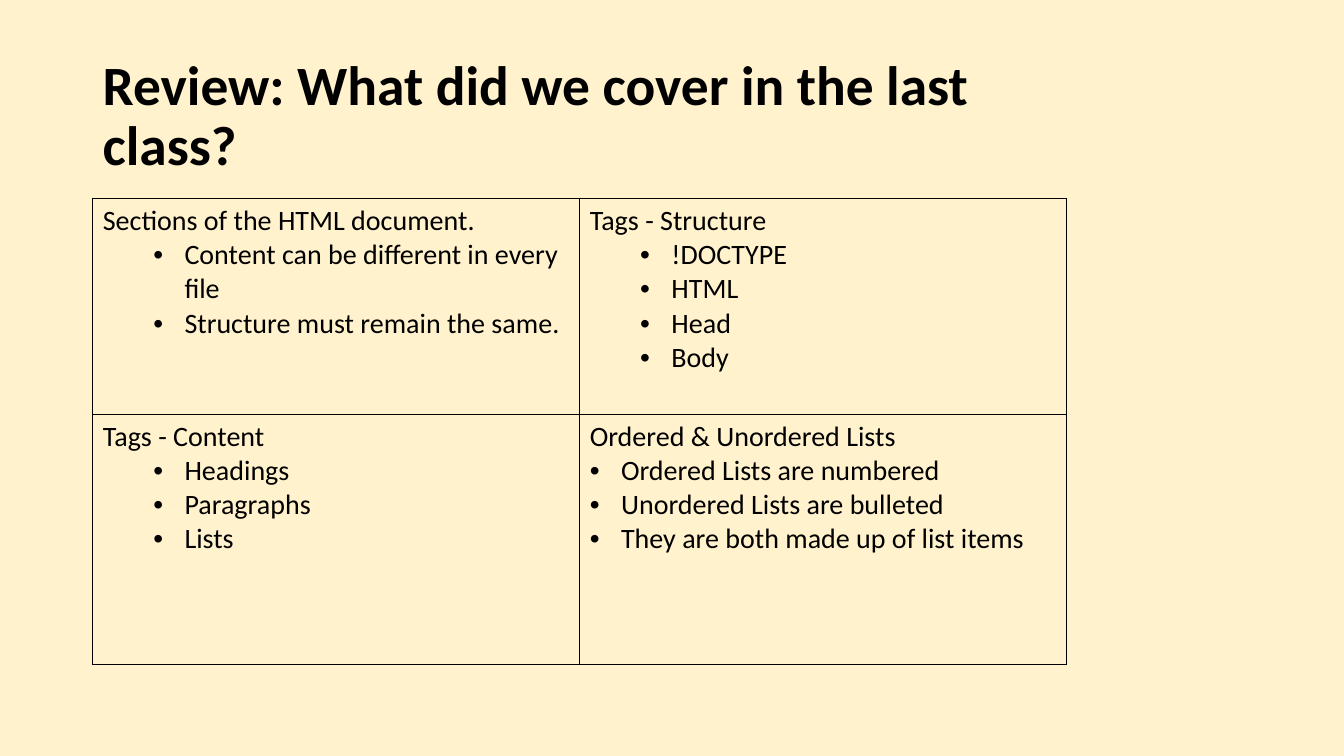
"""Build a review slide with a two-by-two table of topics covered in class."""
import dataclasses

import lxml.etree
import pptx
import pptx.dml.color
import pptx.enum.text
import pptx.oxml.ns
import pptx.presentation
import pptx.slide
import pptx.table
import pptx.text.text
import pptx.util

Inches = pptx.util.Inches
qn = pptx.oxml.ns.qn


@dataclasses.dataclass(frozen=True)
class Theme:
    font: str = "Calibri"
    background: str = "FFF2CC"
    ink: str = "000000"
    title_size: float = 39.6
    body_size: float = 20
    border_width: float = 1
    bullet_hang: float = 0.31
    level_step: float = 0.5


@dataclasses.dataclass(frozen=True)
class Topic:
    heading: str
    points: tuple[str, ...]
    level: int = 1


THEME = Theme()
TITLE = "Review: What did we cover in the last class?"
COLUMN_WIDTH = 4.83
ROW_HEIGHTS = (2.14, 2.48)
TOPIC_GRID = (
    (
        Topic(
            "Sections of the HTML document.",
            ("Content can be different in every file", "Structure must remain the same."),
        ),
        Topic("Tags - Structure", ("!DOCTYPE", "HTML", "Head", "Body")),
    ),
    (
        Topic("Tags - Content", ("Headings", "Paragraphs", "Lists")),
        Topic(
            "Ordered & Unordered Lists",
            (
                "Ordered Lists are numbered",
                "Unordered Lists are bulleted",
                "They are both made up of list items",
            ),
            level=0,
        ),
    ),
)


def write_text(
    para: pptx.text.text._Paragraph,
    text: str,
    *,
    size: float = THEME.body_size,
    bold: bool = False,
    bullet: bool = False,
    level: int = 0,
    line_spacing: float | None = None,
) -> None:
    if bullet:
        properties = para._p.get_or_add_pPr()
        margin = THEME.bullet_hang + level * THEME.level_step
        properties.set("marL", str(Inches(margin)))
        properties.set("indent", str(-Inches(THEME.bullet_hang)))
        lxml.etree.SubElement(properties, qn("a:buFont"), typeface="Arial")
        lxml.etree.SubElement(properties, qn("a:buChar"), char="•")
    para.level = level
    para.line_spacing = line_spacing
    span = para.add_run()
    span.text = text
    span.font.name = THEME.font
    span.font.size = pptx.util.Pt(size)
    span.font.bold = bold
    span.font.color.rgb = pptx.dml.color.RGBColor.from_string(THEME.ink)


def draw_borders(cell: pptx.table._Cell) -> None:
    properties = cell._tc.get_or_add_tcPr()
    for side in ("lnL", "lnR", "lnT", "lnB"):
        line = lxml.etree.SubElement(
            properties, qn(f"a:{side}"), w=str(pptx.util.Pt(THEME.border_width))
        )
        fill = lxml.etree.SubElement(line, qn("a:solidFill"))
        lxml.etree.SubElement(fill, qn("a:srgbClr"), val=THEME.ink)


def fill_cell(cell: pptx.table._Cell, topic: Topic) -> None:
    draw_borders(cell)
    cell.fill.background()
    write_text(cell.text_frame.paragraphs[0], topic.heading)
    for point in topic.points:
        write_text(cell.text_frame.add_paragraph(), point, bullet=True, level=topic.level)


def add_title(page: pptx.slide.Slide) -> None:
    box = page.shapes.add_textbox(Inches(0.92), Inches(0.63), Inches(10.15), Inches(1.08))
    frame = box.text_frame
    frame.word_wrap = True
    frame.vertical_anchor = pptx.enum.text.MSO_ANCHOR.MIDDLE
    write_text(frame.paragraphs[0], TITLE, size=THEME.title_size, bold=True, line_spacing=0.9)


def add_topic_table(page: pptx.slide.Slide) -> None:
    column_count = len(TOPIC_GRID[0])
    table = page.shapes.add_table(
        len(TOPIC_GRID),
        column_count,
        Inches(0.92),
        Inches(1.97),
        Inches(COLUMN_WIDTH * column_count),
        Inches(sum(ROW_HEIGHTS)),
    ).table
    table.first_row = False
    table.horz_banding = False
    for row, height, topics in zip(table.rows, ROW_HEIGHTS, TOPIC_GRID):
        row.height = Inches(height)
        for cell, topic in zip(row.cells, topics):
            fill_cell(cell, topic)


def build_deck() -> pptx.presentation.Presentation:
    deck = pptx.Presentation()
    deck.slide_width = Inches(13.33)
    deck.slide_height = Inches(7.5)
    page = deck.slides.add_slide(deck.slide_layouts[6])
    page.background.fill.solid()
    page.background.fill.fore_color.rgb = pptx.dml.color.RGBColor.from_string(THEME.background)
    add_title(page)
    add_topic_table(page)
    return deck


if __name__ == "__main__":
    build_deck().save("out.pptx")
